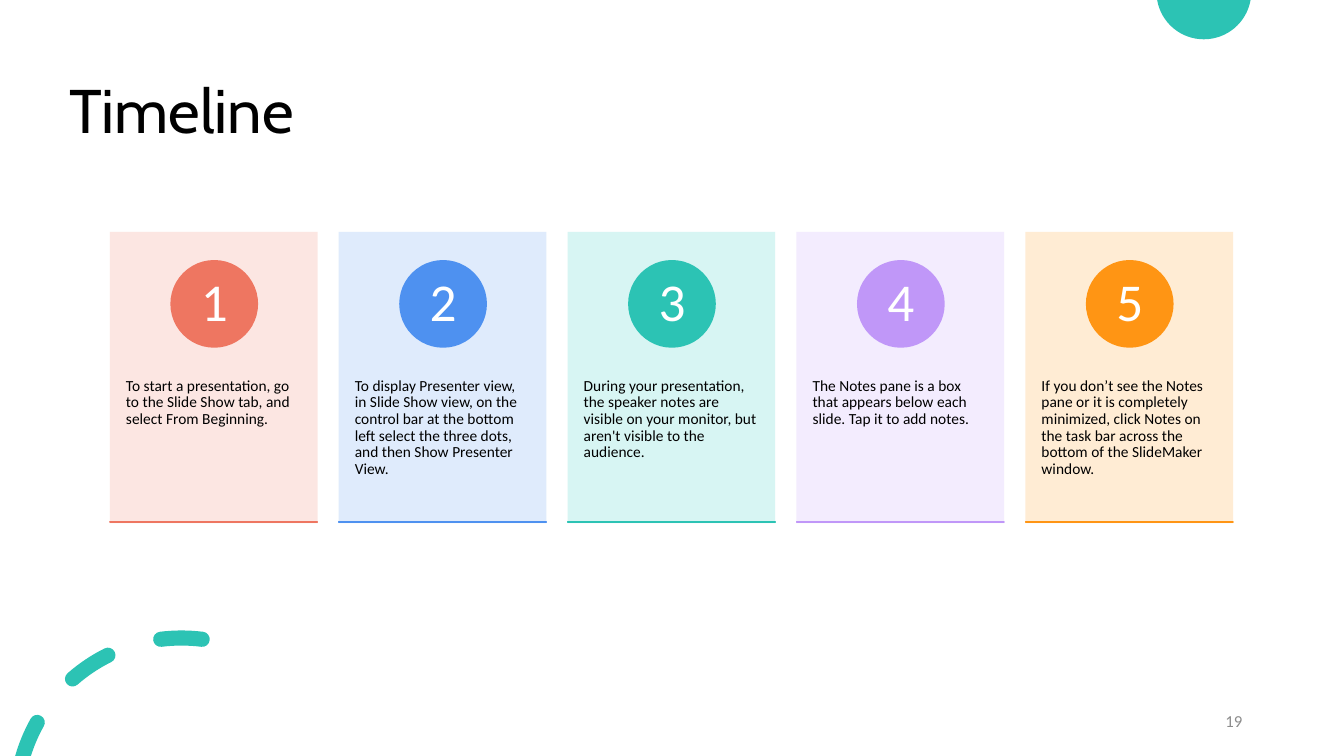
import math

from lxml import etree
from pptx import Presentation
from pptx.dml.color import RGBColor
from pptx.enum.shapes import MSO_SHAPE
from pptx.enum.text import MSO_ANCHOR, MSO_AUTO_SIZE, PP_ALIGN
from pptx.oxml.ns import qn
from pptx.util import Inches, Pt

RECTANGLE, OVAL = MSO_SHAPE.RECTANGLE, MSO_SHAPE.OVAL
TOP, MIDDLE = MSO_ANCHOR.TOP, MSO_ANCHOR.MIDDLE
LEFT, CENTER, RIGHT = PP_ALIGN.LEFT, PP_ALIGN.CENTER, PP_ALIGN.RIGHT
FIXED_SIZE = MSO_AUTO_SIZE.NONE

SLIDE_WIDTH, SLIDE_HEIGHT = 13.33, 7.5
TEAL = "2CC3B4"
CARD_WIDTH, CARD_HEIGHT, CARD_PITCH = 2.06, 2.89, 2.27
STEPS = [
    ("FCE4DF", "EE7661", "To start a presentation, go to the Slide Show tab, "
     "and select From Beginning."),
    ("DCE9FC", "4E91F0", "To display Presenter view, in Slide Show view, on the "
     "control bar at the bottom left select the three dots, and then Show "
     "Presenter View."),
    ("D3F5F2", TEAL, "During your presentation, the speaker notes are visible on "
     "your monitor, but aren't visible to the audience."),
    ("F2EAFE", "C097F8", "The Notes pane is a box that appears below each slide. "
     "Tap it to add notes."),
    ("FFEAD0", "FF9514", "If you don’t see the Notes pane or it is completely "
     "minimized, click Notes on the task bar across the bottom of the SlideMaker "
     "window."),
]


def color(hex_string):
    return RGBColor.from_string(hex_string)


def paint(shape, fill):
    shape.shadow.inherit = False
    shape.fill.solid()
    shape.fill.fore_color.rgb = color(fill)
    shape.line.fill.background()


def set_opacity(shape, percent):
    fill_color = shape.fill._xPr.find(qn("a:solidFill"))[0]
    etree.SubElement(fill_color, qn("a:alpha"), val=str(percent * 1000))


def add_text(slide, box, text, size, fill="000000", font="Calibri", align=LEFT,
             anchor=MIDDLE, insets=(0.1, 0.05), spacing=0.9):
    frame = slide.shapes.add_textbox(*map(Inches, box)).text_frame
    frame.word_wrap = True
    frame.auto_size = FIXED_SIZE
    frame.vertical_anchor = anchor
    frame.margin_left = frame.margin_right = Inches(insets[0])
    frame.margin_top = frame.margin_bottom = Inches(insets[1])
    paragraph = frame.paragraphs[0]
    paragraph.text = text
    paragraph.alignment = align
    paragraph.line_spacing = spacing
    paragraph.font.size = Pt(size)
    paragraph.font.name = font
    paragraph.font.color.rgb = color(fill)


def arc(center, radius, start, end, pieces=1):
    """Bézier curves (four points each); degrees run clockwise from straight up."""
    step = math.radians(end - start) / pieces
    handle = radius * 4 / 3 * math.tan(step / 4)
    curves = []
    for index in range(pieces):
        first = math.radians(start) + index * step
        points = []
        for angle, reach in ((first, 0), (first, handle),
                             (first + step, -handle), (first + step, 0)):
            points.append((center[0] + radius * math.sin(angle) + reach * math.cos(angle),
                           center[1] - radius * math.cos(angle) + reach * math.sin(angle)))
        curves.append(points)
    return curves


def add_curved_shape(slide, contours, fill):
    """Each contour is a list of joined curves, closed by a straight line."""
    outlines = [[(Inches(x), Inches(y)) for x, y in
                 contour[0][:1] + [point for curve in contour for point in curve[1:]]]
                for contour in contours]
    builder = slide.shapes.build_freeform(*outlines[0][0])
    for index, outline in enumerate(outlines):
        if index:
            builder.move_to(*outline[0])
        builder.add_line_segments(outline[1:], close=True)
    shape = builder.convert_to_shape()
    lines = list(shape._element.iter(qn("a:lnTo")))
    for first in range(0, len(lines), 3):
        curve = etree.Element(qn("a:cubicBezTo"))
        lines[first].addprevious(curve)
        for line in lines[first:first + 3]:
            curve.append(line[0])
            line.getparent().remove(line)
    paint(shape, fill)


def add_top_circle(slide, center, radius):
    edge = math.degrees(math.acos(center[1] / radius))
    add_curved_shape(slide, [arc(center, radius, edge, 360 - edge, 2)], TEAL)


def add_dashed_ring(slide, center, radius, thickness):
    """Two round-ended dashes, and one that the bottom of the slide cuts off."""
    half = thickness / 2
    outer, inner = radius + half, radius - half
    depth = center[1] - SLIDE_HEIGHT
    outer_cut, inner_cut = (-math.degrees(math.acos(depth / reach))
                            for reach in (outer, inner))
    contours = []
    for outer_start, inner_start, end in ((outer_cut, inner_cut, -60.7),
                                          (-41.2, -41.2, -26.4), (-7.2, -7.2, 7.2)):
        end_center = arc(center, radius, end, end)[0][0]
        contour = (arc(center, outer, outer_start, end)
                   + arc(end_center, half, end, end + 180, 2)
                   + arc(center, inner, end, inner_start))
        if outer_start == inner_start:
            start_center = arc(center, radius, outer_start, outer_start)[0][0]
            contour += arc(start_center, half, outer_start + 180, outer_start + 360, 2)
        contours.append(contour)
    add_curved_shape(slide, contours, TEAL)


def add_card(slide, left, top, number, tint, accent, text):
    def add_part(kind, x, y, width, height, fill):
        part = slide.shapes.add_shape(kind, Inches(left + x), Inches(top + y),
                                      Inches(width), Inches(height))
        paint(part, fill)
        return part

    set_opacity(add_part(RECTANGLE, 0, 0, CARD_WIDTH, CARD_HEIGHT, tint), 90)
    add_text(slide, (left, top + 1.09, CARD_WIDTH, 1.73), text, 11,
             anchor=TOP, insets=(0.16, 0.36))
    add_part(OVAL, 0.6, 0.28, 0.87, 0.87, accent)
    add_text(slide, (left + 0.73, top + 0.41, 0.61, 0.61), str(number), 38,
             "FFFFFF", align=CENTER, insets=(0.07, 0.01))
    rule = add_part(RECTANGLE, 0, CARD_HEIGHT - 0.01, CARD_WIDTH, 0, accent)
    rule.line.color.rgb = color(accent)
    rule.line.width = Pt(1)


def add_timeline(slide, left, top):
    for index, step in enumerate(STEPS):
        add_card(slide, left + index * CARD_PITCH, top, index + 1, *step)


def main():
    presentation = Presentation()
    presentation.slide_width = Inches(SLIDE_WIDTH)
    presentation.slide_height = Inches(SLIDE_HEIGHT)
    slide = presentation.slides.add_slide(presentation.slide_layouts[6])
    add_top_circle(slide, (11.94, -0.08), 0.47)
    add_dashed_ring(slide, (1.8, 7.97), 1.64, 0.15)
    add_text(slide, (0.59, 0.4, 11.5, 1.45), "Timeline", 44, font="Cabin")
    add_timeline(slide, 1.09, 2.3)
    add_text(slide, (9.42, 6.95, 3, 0.4), "19", 12, "8C8C8C", align=RIGHT, spacing=1.0)
    presentation.save("out.pptx")


if __name__ == "__main__":
    main()
